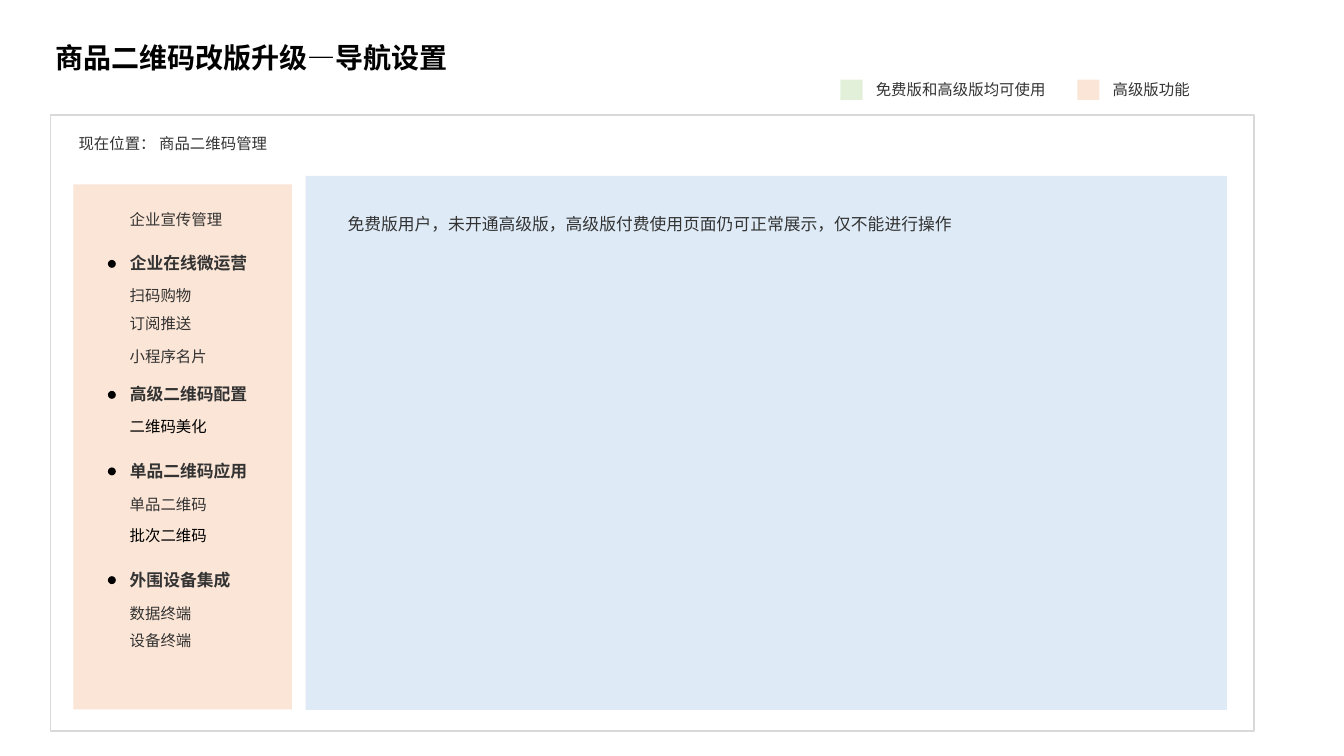
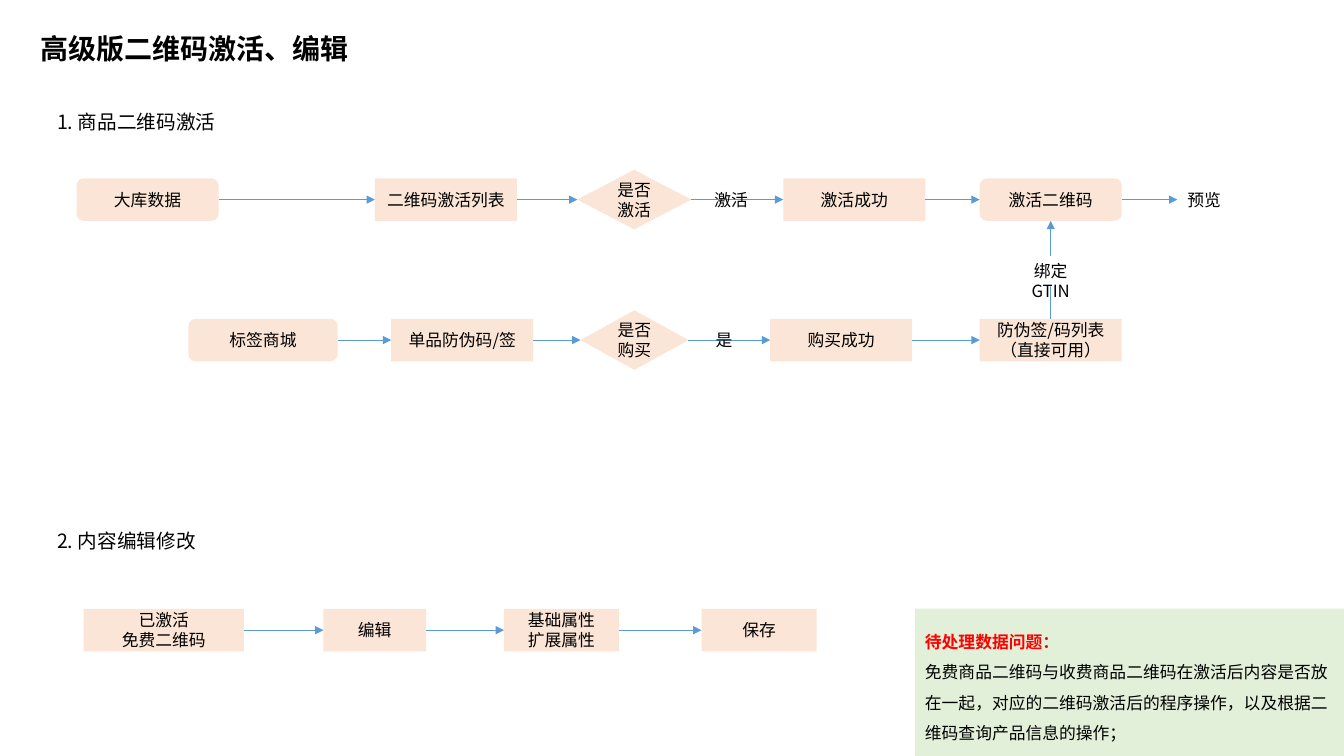
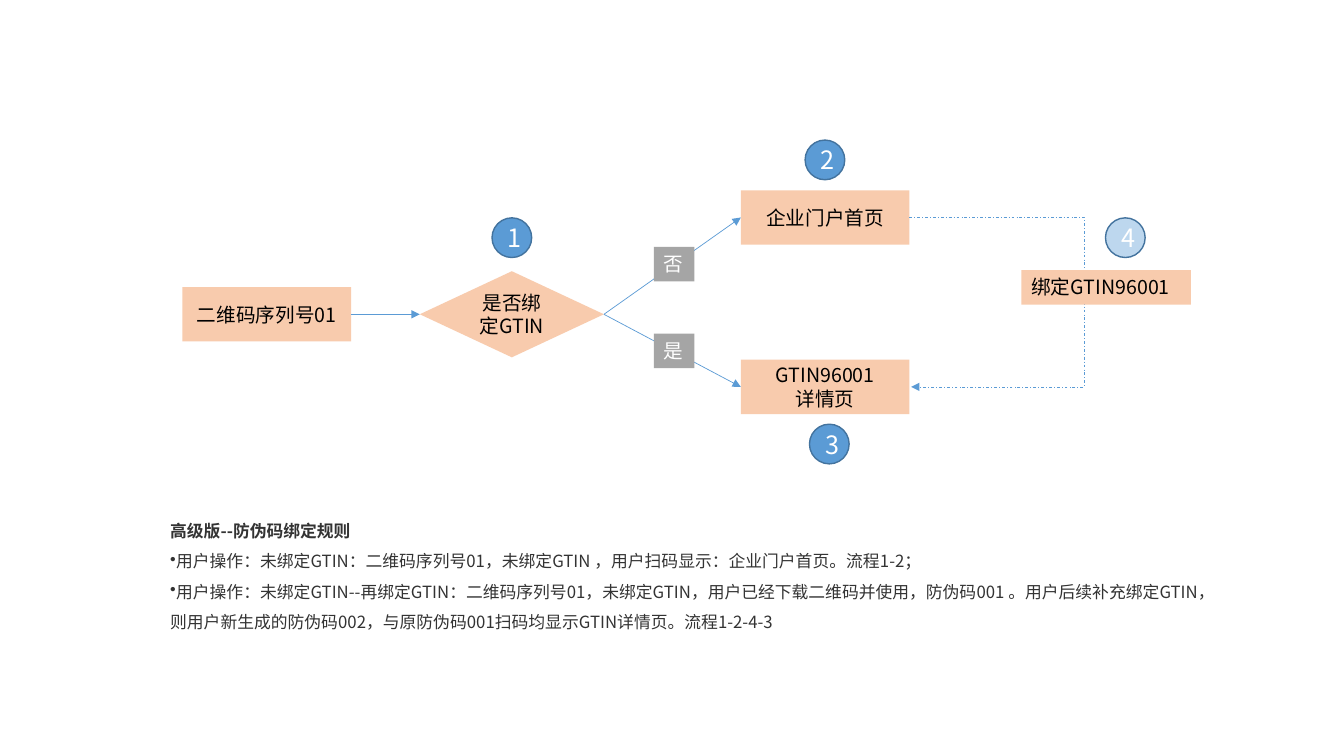
from itertools import pairwise

from lxml.etree import SubElement
from pptx import Presentation
from pptx.dml.color import RGBColor
from pptx.enum.dml import MSO_LINE
from pptx.enum.shapes import MSO_CONNECTOR as Route, MSO_SHAPE as Preset
from pptx.enum.text import MSO_ANCHOR as Anchor, MSO_AUTO_SIZE as AutoSize, PP_ALIGN as Align
from pptx.oxml.ns import qn
from pptx.util import Cm, Pt

FONT = "Noto Sans CJK SC"
COLOURS = {
    "black": "000000", "text": "333333", "white": "FFFFFF", "red": "FF0000",
    "border": "D9D9D9", "peach": "FBE5D6", "orange": "F8CBAD", "green": "E2F0D9",
    "pale": "DEEBF7", "sky": "BDD7EE", "blue": "5B9BD5", "navy": "43739E", "grey": "A5A5A5",
}
TOP, LEFT, BOTTOM, RIGHT = range(4)


def colour(name):
    return RGBColor.from_string(COLOURS[name])


class Deck:
    def __init__(self):
        self.presentation = Presentation()
        self.presentation.slide_width = Cm(33.87)
        self.presentation.slide_height = Cm(19.05)
        self.slide = None

    def add_slide(self, layout):
        self.slide = self.presentation.slides.add_slide(self.presentation.slide_layouts[layout])

    def titled_slide(self, text, left, top, width):
        self.add_slide(5)
        title = self.slide.shapes.title
        title.left, title.top, title.width, title.height = Cm(left), Cm(top), Cm(width), Cm(1.12)
        self.set_text(title, [text], 20, bold=True, wrap=False)

    def blank_slide(self):
        self.add_slide(6)

    def set_text(self, shape, lines, size, ink="black", bold=False, align=Align.LEFT,
                 anchor=Anchor.TOP, wrap=True, spacing=None):
        frame = shape.text_frame
        frame.auto_size = AutoSize.NONE
        frame.word_wrap = wrap
        frame.vertical_anchor = anchor
        for index, line in enumerate(lines):
            paragraph = frame.add_paragraph() if index else frame.paragraphs[0]
            paragraph.alignment = align
            if spacing:
                paragraph.line_spacing = spacing
            self.add_run(paragraph, line, size, ink, bold)

    def add_run(self, paragraph, text, size, ink, bold):
        run = paragraph.add_run()
        run.text = text
        run.font.size = Pt(size)
        run.font.bold = bold
        run.font.color.rgb = colour(ink)
        run.font.name = FONT
        SubElement(run._r.get_or_add_rPr(), qn("a:ea")).set("typeface", FONT)

    def text(self, text, left, top, size=11, width=None, height=0.75, **style):
        span = Cm(width) if width else Cm(0.51) + Pt(size) * len(text)
        box = self.slide.shapes.add_textbox(Cm(left), Cm(top), span, Cm(height))
        self.set_text(box, [text], size, **{"wrap": False, **style})
        return box

    def shape(self, left, top, width, height, fill, preset=Preset.RECTANGLE, line=None):
        shape = self.slide.shapes.add_shape(preset, Cm(left), Cm(top), Cm(width), Cm(height))
        shape.shadow.inherit = False
        shape.fill.solid()
        shape.fill.fore_color.rgb = colour(fill)
        if line:
            shape.line.color.rgb = colour(line)
            shape.line.width = Pt(1)
        else:
            shape.line.fill.background()
        return shape

    def node(self, lines, left, middle, width, height=1.07, fill="peach", size=12,
             preset=Preset.RECTANGLE):
        shape = self.shape(left, middle - height / 2, width, height, fill, preset)
        self.set_text(shape, lines, size, align=Align.CENTER, anchor=Anchor.MIDDLE)
        return shape

    def label(self, text, left, top, width, fill, ink, size=14, height=0.87, **style):
        shape = self.shape(left, top, width, height, fill)
        self.set_text(shape, [text], size, ink, **style)

    def badge(self, number, left, top, fill="blue"):
        shape = self.shape(left, top, 1, 1, fill, Preset.OVAL, "navy")
        self.set_text(shape, [number], 18, "white", align=Align.CENTER, anchor=Anchor.MIDDLE)

    def connector(self, route, start=(0, 0), end=(0, 0)):
        connector = self.slide.shapes.add_connector(route, *map(Cm, start + end))
        connector.line.color.rgb = colour("blue")
        connector.line.width = Pt(0.5)
        properties = connector._element.spPr
        SubElement(properties.find(qn("a:ln")), qn("a:tailEnd")).set("type", "triangle")
        SubElement(properties, qn("a:effectLst"))
        return connector

    def arrow(self, source, target, leave=RIGHT, arrive=LEFT):
        connector = self.connector(Route.STRAIGHT)
        connector.begin_connect(source, leave)
        connector.end_connect(target, arrive)

    def detour(self, start, end, reach):
        connector = self.connector(Route.ELBOW, start, end)
        connector.line.dash_style = MSO_LINE.DASH_DOT
        ratio = round((reach - start[0]) / (end[0] - start[0]) * 100000)
        guides = connector._element.spPr.find(qn("a:prstGeom")).find(qn("a:avLst"))
        guide = SubElement(guides, qn("a:gd"))
        guide.set("name", "adj1")
        guide.set("fmla", f"val {ratio}")

    def chain(self, nodes):
        for source, target in pairwise(nodes):
            self.arrow(source, target)


def navigation_slide(deck):
    deck.titled_slide("商品二维码改版升级—导航设置", 1.14, 0.89, 10.54)
    deck.shape(1.27, 2.9, 30.33, 15.52, "white", line="border")
    deck.shape(1.85, 4.65, 5.51, 13.23, "peach")
    deck.shape(7.7, 4.43, 23.22, 13.46, "pale")
    deck.text("现在位置： 商品二维码管理", 1.73, 3.25, width=5.33, ink="text")
    for left, fill, text in ((21.18, "green", "免费版和高级版均可使用"),
                             (27.15, "peach", "高级版功能")):
        deck.shape(left, 2.01, 0.56, 0.51, fill)
        deck.text(text, left + 0.64, 1.89, ink="text")
    deck.text("免费版用户，未开通高级版，高级版付费使用页面仍可正常展示，仅不能进行操作",
              8.51, 5.26, 12, ink="text")
    for text, top in (("企业在线微运营", 6.25), ("高级二维码配置", 9.55),
                      ("单品二维码应用", 11.48), ("外围设备集成", 14.22)):
        deck.text(text, 3.02, top, 12, ink="text", bold=True)
        deck.shape(2.72, top + 0.3, 0.2, 0.2, "black", Preset.OVAL)
    for text, top, ink in (
            ("企业宣传管理", 5.18, "text"), ("扫码购物", 7.09, "text"),
            ("订阅推送", 7.8, "text"), ("小程序名片", 8.61, "text"),
            ("二维码美化", 10.39, "black"), ("单品二维码", 12.34, "text"),
            ("批次二维码", 13.13, "black"), ("数据终端", 15.09, "text"),
            ("设备终端", 15.77, "text")):
        deck.text(text, 3.02, top, ink=ink)


def activation_slide(deck):
    deck.titled_slide("高级版二维码激活、编辑", 0.76, 0.66, 8.36)
    deck.text("1. 商品二维码激活", 1.19, 2.64, 14, width=4.5, wrap=True)
    deck.text("2. 内容编辑修改", 1.19, 13.21, 14, width=4.06, wrap=True)

    rounded = {"preset": Preset.ROUNDED_RECTANGLE}
    decision = {"preset": Preset.DIAMOND, "height": 1.5}
    middle = 5.03
    activated = deck.node(["激活二维码"], 24.69, middle, 3.58, **rounded)
    deck.chain([
        deck.node(["大库数据"], 1.93, middle, 3.58, **rounded),
        deck.node(["二维码激活列表"], 9.45, middle, 3.58),
        deck.node(["是否激活"], 14.55, middle, 2.87, **decision),
        deck.node(["激活成功"], 19.74, middle, 3.58),
        activated,
        deck.text("预览", 29.67, middle - 0.38, 12, height=0.76, align=Align.CENTER),
    ])
    deck.text("激活", 17.75, middle - 0.38, 12, align=Align.CENTER)

    middle = 8.57
    code_list = deck.node(["防伪签/码列表（直接可用）"], 24.69, middle, 3.58)
    deck.chain([
        deck.node(["标签商城"], 4.75, middle, 3.76, **rounded),
        deck.node(["单品防伪码/签"], 9.86, middle, 3.58),
        deck.node(["是否购买"], 14.63, middle, 2.72, **decision),
        deck.node(["购买成功"], 19.41, middle, 3.58),
        code_list,
    ])
    deck.text("是", 17.78, middle - 0.38, 12, align=Align.CENTER)
    deck.arrow(code_list, activated, TOP, BOTTOM)
    deck.label("绑定GTIN", 25.33, 6.45, 2.3, "white", "black", 12, 0.77, align=Align.CENTER)

    deck.chain([deck.node(lines, left, 15.88, width) for lines, left, width in (
        (["已激活", "免费二维码"], 2.11, 4.04), (["编辑"], 8.15, 2.59),
        (["基础属性", "扩展属性"], 12.7, 2.9), (["保存"], 17.68, 2.9))])

    panel = deck.shape(23.06, 15.34, 10.81, 3.71, "green")
    deck.set_text(panel, ["待处理数据问题："], 12, "red", True, anchor=Anchor.MIDDLE, spacing=1.5)
    paragraph = panel.text_frame.add_paragraph()
    paragraph.alignment = Align.LEFT
    paragraph.line_spacing = 1.5
    deck.add_run(paragraph, "免费商品二维码与收费商品二维码在激活后内容是否放在一起，"
                 "对应的二维码激活后的程序操作，以及根据二维码查询产品信息的操作；",
                 12, "black", False)


def binding_slide(deck):
    deck.blank_slide()
    style = {"fill": "orange", "size": 14}
    serial = deck.node(["二维码序列号01"], 4.6, 7.92, 4.25, 1.37, **style)
    decision = deck.node(["是否绑定GTIN"], 10.58, 7.92, 4.64, 2.17,
                         preset=Preset.DIAMOND, **style)
    portal = deck.node(["企业门户首页"], 18.67, 5.48, 4.25, 1.37, **style)
    details = deck.node(["GTIN96001", "详情页"], 18.67, 9.75, 4.25, 1.37, **style)
    deck.chain([serial, decision, portal])
    deck.arrow(decision, details)
    deck.detour((22.92, 5.48), (22.96, 9.75), 27.33)
    deck.label("是", 16.48, 8.41, 1.02, "grey", "white", wrap=False)
    deck.label("否", 16.48, 6.22, 1.02, "grey", "white", wrap=False)
    deck.label("绑定GTIN96001", 25.74, 6.81, 4.27, "orange", "black")
    deck.badge("1", 12.4, 5.49)
    deck.badge("2", 20.29, 3.53)
    deck.badge("3", 20.4, 10.69)
    deck.badge("4", 27.86, 5.49, "sky")

    rules = deck.text("高级版--防伪码绑定规则", 4.04, 12.73, 12, 26.87, 3.33, ink="text",
                      bold=True, anchor=Anchor.MIDDLE, wrap=True, spacing=1.5)
    for text in (
            "用户操作：未绑定GTIN：二维码序列号01，未绑定GTIN ，用户扫码显示：企业门户首页。流程1-2；",
            "用户操作：未绑定GTIN--再绑定GTIN：二维码序列号01，未绑定GTIN，用户已经下载二维码并使用，"
            "防伪码001 。用户后续补充绑定GTIN，则用户新生成的防伪码002，"
            "与原防伪码001扫码均显示GTIN详情页。流程1-2-4-3"):
        paragraph = rules.text_frame.add_paragraph()
        properties = paragraph._p.get_or_add_pPr()
        SubElement(properties, qn("a:buChar")).set("char", "•")
        paragraph.line_spacing = 1.5
        deck.add_run(paragraph, text, 12, "text", False)


def main():
    deck = Deck()
    navigation_slide(deck)
    activation_slide(deck)
    binding_slide(deck)
    deck.presentation.save("out.pptx")


if __name__ == "__main__":
    main()
